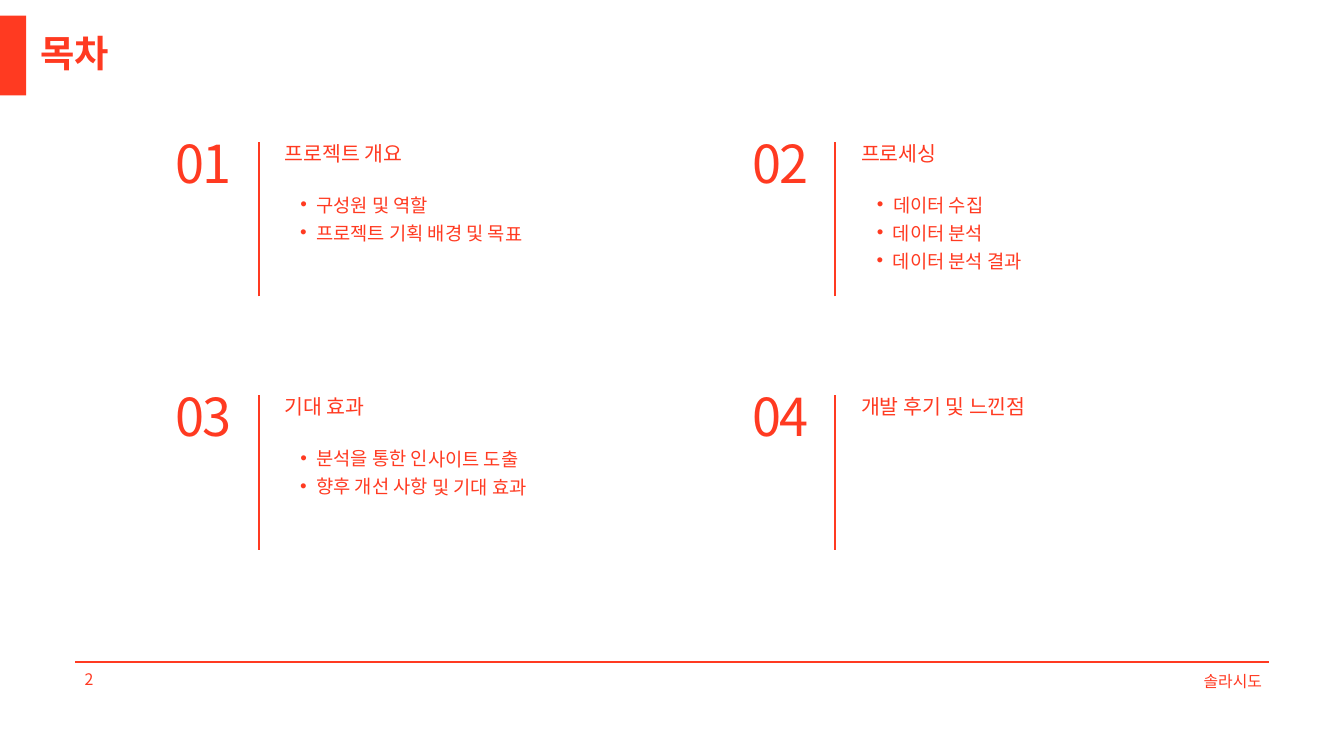
from dataclasses import dataclass

from lxml.etree import SubElement
from pptx import Presentation
from pptx.dml.color import RGBColor
from pptx.enum.shapes import MSO_CONNECTOR, MSO_SHAPE
from pptx.enum.text import MSO_ANCHOR, MSO_AUTO_SIZE, PP_ALIGN
from pptx.oxml.ns import qn
from pptx.util import Pt

RED, FOOT = "FF3A21", "FF3921"
FACE = "Noto Sans CJK KR"
LEFT, TOP = 180, 146.9  # first block
STEP_X, STEP_Y = 617.8, 271.4  # block pitch


@dataclass
class Part:
    head: str
    items: tuple[str, ...] = ()


PARTS = [
    Part("프로젝트 개요", ("구성원 및 역할", "프로젝트 기획 배경 및 목표")),
    Part("프로세싱", ("데이터 수집", "데이터 분석", "데이터 분석 결과")),
    Part("기대 효과", ("분석을 통한 인사이트 도출", "향후 개선 사항 및 기대 효과")),
    Part("개발 후기 및 느낀점"),
]


def paint(target, code: str) -> None:
    """Colour a fill, a line or a font."""
    if hasattr(target, "solid"):
        target.solid()
        target.fore_color.rgb = RGBColor.from_string(code)
    elif hasattr(target, "fill") and hasattr(target, "width"):
        paint(target.fill, code)
    else:
        target.color.rgb = RGBColor.from_string(code)


def place(shape, x: float, y: float, w: float, h: float) -> None:
    shape.left, shape.top = Pt(x), Pt(y)
    shape.width, shape.height = Pt(w), Pt(h)


def frame(shape):
    """Make a tight text frame that grows with its text."""
    text = shape.text_frame
    text.word_wrap = True
    text.auto_size = MSO_AUTO_SIZE.SHAPE_TO_FIT_TEXT
    text.vertical_anchor = MSO_ANCHOR.TOP
    text.margin_left = text.margin_right = 0
    text.margin_top = text.margin_bottom = 0
    return text


def write(para, words: str, size: float, lead: float = 0, align=PP_ALIGN.LEFT,
          bold: bool = False, code: str = RED, track: int = 0) -> None:
    para.alignment = align
    para.space_before = Pt(0)
    if lead:
        para.line_spacing = Pt(lead)
    run = para.add_run()
    run.text = words
    font = run.font
    font.size, font.bold, font.name = Pt(size), bold, FACE
    paint(font, code)
    props = run._r.get_or_add_rPr()
    SubElement(props, qn("a:ea")).set("typeface", FACE)
    if track:
        props.set("spc", str(track))


def box(slide, x: float, y: float, w: float, h: float):
    return slide.shapes.add_textbox(Pt(x), Pt(y), Pt(w), Pt(h))


def rule(slide, x1: float, y1: float, x2: float, y2: float, width: float) -> None:
    line = slide.shapes.add_connector(
        MSO_CONNECTOR.STRAIGHT, Pt(x1), Pt(y1), Pt(x2), Pt(y2))
    paint(line.line, RED)
    line.line.width = Pt(width)
    SubElement(line._element.spPr, qn("a:effectLst"))


def fill_list(shape, items: tuple[str, ...], x: float, y: float) -> None:
    place(shape, x, y, 269, 30 * len(items) - 1.6)
    shape.rotation = 0.3
    text = frame(shape)
    for i, item in enumerate(items):
        para = text.add_paragraph() if i else text.paragraphs[0]
        para.level = 1
        props = para._p.get_or_add_pPr()
        props.set("marL", str(Pt(33.8)))
        props.set("indent", str(Pt(-17.3)))
        SubElement(props, qn("a:buChar")).set("char", "•")
        write(para, item, 20, 30)


def draw_part(slide, part: Part, rank: int, holders: list) -> None:
    row, col = divmod(rank, 2)
    x, y = LEFT + col * STEP_X, TOP + row * STEP_Y
    rule(slide, x + 97.2, y + 170.6, x + 97.2, y + 5.2, 2)
    text = frame(box(slide, x, y, 76.3, 64.8))
    write(text.paragraphs[0], f"{rank + 1:02}", 56, 60.5, PP_ALIGN.CENTER, track=-260)
    text = frame(box(slide, x + 124.8, y + 6.2, 257.8, 24.5))
    write(text.paragraphs[0], part.head, 22, 24.2)
    if part.items:
        fill_list(holders.pop(0), part.items, x + 125.2, y + 54.9)


def foot(slide, words: str, x: float, y: float, w: float, align) -> None:
    text = box(slide, x, y, w, 28.8).text_frame
    text.word_wrap = True
    text.vertical_anchor = MSO_ANCHOR.MIDDLE
    write(text.paragraphs[0], words, 17, align=align, code=FOOT)


def main() -> None:
    deck = Presentation()
    deck.slide_width, deck.slide_height = Pt(1440), Pt(810)
    # The comparison layout offers a title and several bodies
    slide = deck.slides.add_slide(deck.slide_layouts[4])
    title, *holders = slide.placeholders

    # Title and its side tab
    tab = slide.shapes.add_shape(MSO_SHAPE.RECTANGLE, 0, Pt(16.6), Pt(28.1), Pt(85.7))
    tab.shadow.inherit = False
    paint(tab.fill, RED)
    tab.line.fill.background()
    place(title, 43.2, 41.8, 1278, 40.3)
    write(frame(title).paragraphs[0], "목차", 40, 38.4, bold=True)

    # Contents grid
    for rank, part in enumerate(PARTS):
        draw_part(slide, part, rank, holders)
    for spare in holders:
        spare._element.getparent().remove(spare._element)

    # Footer
    rule(slide, 80.6, 709.2, 1359.4, 709.2, 1.5)
    foot(slide, "솔라시도", 1131.1, 715.7, 228.2, PP_ALIGN.RIGHT)
    foot(slide, "2", 83.5, 712.8, 167.8, PP_ALIGN.LEFT)

    deck.save("out.pptx")


if __name__ == "__main__":
    main()
